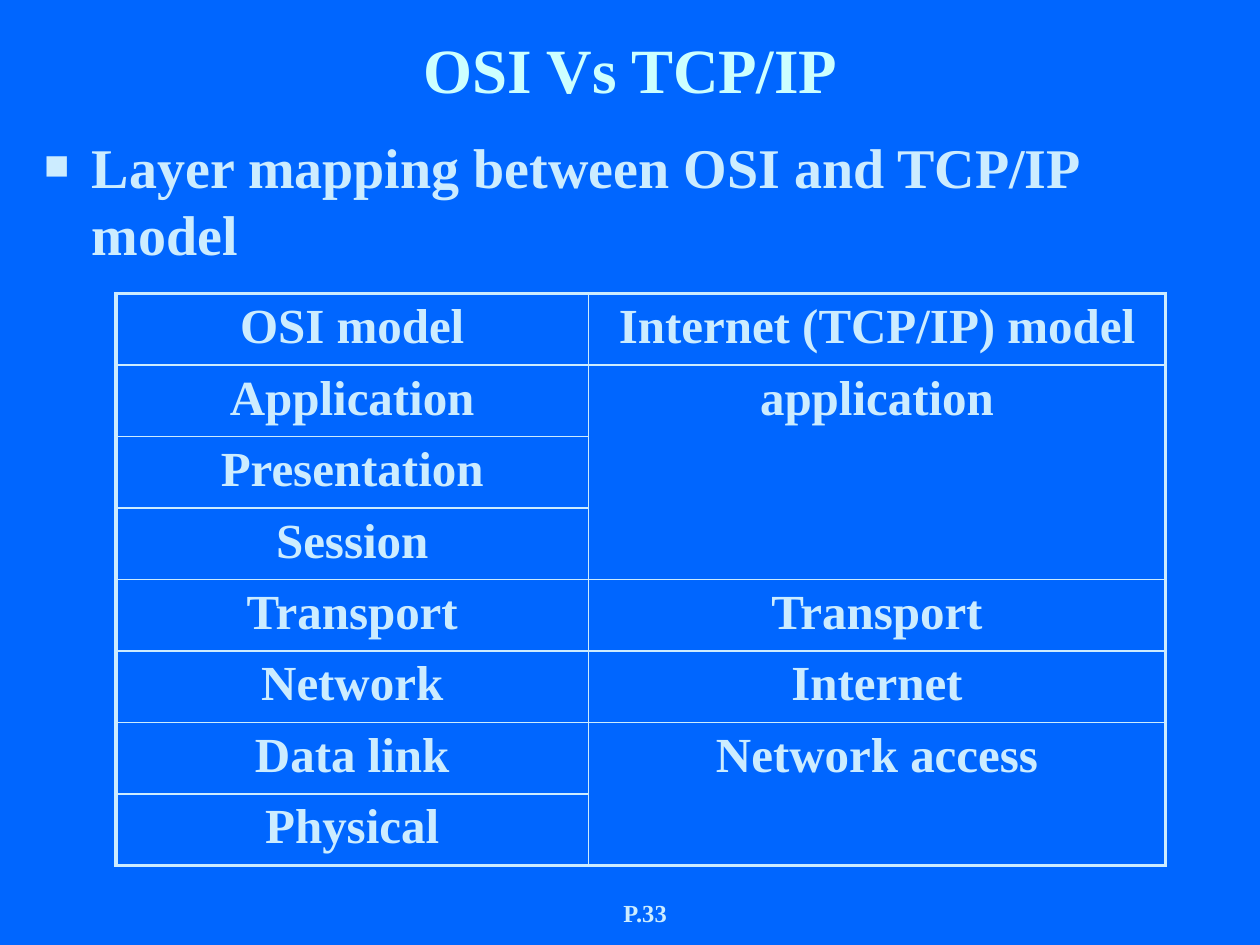
from lxml.etree import SubElement
from pptx import Presentation
from pptx.dml.color import RGBColor
from pptx.enum.text import MSO_ANCHOR as Anchor, MSO_AUTO_SIZE as AutoSize, PP_ALIGN as Align
from pptx.oxml import parse_xml
from pptx.oxml.ns import nsdecls, qn
from pptx.util import Inches, Pt

BACKGROUND, TITLE_COLOR, TEXT_COLOR = "0066FF", "CCFFFF", "CCECFF"
OUTER, INNER = 2.25, 1

# Each column lists its layers with the number of rows they cover
OSI_LAYERS = [(name, 1) for name in (
    "OSI model", "Application", "Presentation", "Session",
    "Transport", "Network", "Data link", "Physical")]
TCP_IP_LAYERS = [("Internet (TCP/IP) model", 1), ("application", 3),
                 ("Transport", 1), ("Internet", 1), ("Network access", 2)]


def color(hex_code):
    return RGBColor.from_string(hex_code)


def write(frame, text, size, hex_code=TEXT_COLOR, align=Align.CENTER):
    frame.word_wrap = True
    paragraph = frame.paragraphs[0]
    paragraph.alignment = align
    run = paragraph.add_run()
    run.text = text
    font_format = {"name": "Times New Roman", "size": Pt(size), "bold": True}
    for attribute, value in font_format.items():
        setattr(run.font, attribute, value)
    run.font.color.rgb = color(hex_code)
    return paragraph


def place(shape, box):
    for side, length in zip(("left", "top", "width", "height"), box):
        setattr(shape, side, Inches(length))


def add_title(slide, box):
    title = slide.shapes.title
    place(title, box)
    title.text_frame.auto_size = AutoSize.NONE
    title.text_frame.vertical_anchor = Anchor.MIDDLE
    write(title.text_frame, "OSI Vs TCP/IP", 36, TITLE_COLOR)


def add_body(slide, box):
    body = slide.placeholders[1]
    place(body, box)
    body.text_frame.auto_size = AutoSize.NONE
    paragraph = write(body.text_frame, "Layer mapping between OSI and TCP/IP model",
                      32, align=Align.LEFT)
    paragraph.space_before = Pt(6.4)
    # Square bullet with a hanging indent
    properties = paragraph._p.get_or_add_pPr()
    properties.set("marL", str(Inches(0.38)))
    properties.set("indent", str(-Inches(0.38)))
    bullet_color = SubElement(properties, qn("a:buClr"))
    SubElement(bullet_color, qn("a:srgbClr"), val=TEXT_COLOR)
    SubElement(properties, qn("a:buSzPct"), val="75000")
    SubElement(properties, qn("a:buFont"), typeface="Times New Roman")
    SubElement(properties, qn("a:buChar"), char="■")


def set_borders(cell, widths):
    properties = cell._tc.get_or_add_tcPr()
    for position, side in enumerate("LRTB"):
        properties.insert(position, parse_xml(
            f'<a:ln{side} {nsdecls("a")} w="{Pt(widths[side])}"><a:solidFill>'
            f'<a:srgbClr val="{TEXT_COLOR}"/></a:solidFill></a:ln{side}>'))


def add_layer_table(slide, box, columns, column_widths):
    row_count = sum(span for _, span in columns[0])
    table = slide.shapes.add_table(row_count, len(columns), *map(Inches, box)).table
    table.first_row = table.horz_banding = False
    for row in table.rows:
        row.height = Inches(box[3] / row_count)

    for column, (layers, width) in enumerate(zip(columns, column_widths)):
        table.columns[column].width = Inches(width)
        start = 0
        for layer, span in layers:
            end = start + span
            borders = {
                "L": OUTER if column == 0 else INNER,
                "R": OUTER if column == len(columns) - 1 else INNER,
                "T": OUTER if start == 0 else INNER,
                "B": OUTER if end == row_count else INNER,
            }
            for row in range(start, end):
                table.cell(row, column).fill.background()
                set_borders(table.cell(row, column), borders)
            layer_cell = table.cell(start, column)
            if span > 1:
                layer_cell.merge(table.cell(end - 1, column))
            write(layer_cell.text_frame, layer, 28)
            start = end


def add_page_number(slide, box):
    frame = slide.shapes.add_textbox(*map(Inches, box)).text_frame
    frame.vertical_anchor = Anchor.BOTTOM
    frame.margin_bottom = Inches(0.14)
    write(frame, "P.33", 14)


def main():
    deck = Presentation()
    deck.slide_width, deck.slide_height = Inches(10), Inches(7.5)
    slide = deck.slides.add_slide(deck.slide_layouts[1])
    slide.background.fill.solid()
    slide.background.fill.fore_color.rgb = color(BACKGROUND)

    add_page_number(slide, (4.08, 6.83, 2.08, 0.67))
    add_title(slide, (0.42, 0.17, 9.17, 0.75))
    add_body(slide, (0.25, 1, 9.58, 6.17))
    add_layer_table(slide, (0.92, 2.33, 8.33, 4.53),
                    (OSI_LAYERS, TCP_IP_LAYERS), (3.75, 4.58))
    deck.save("out.pptx")


if __name__ == "__main__":
    main()
